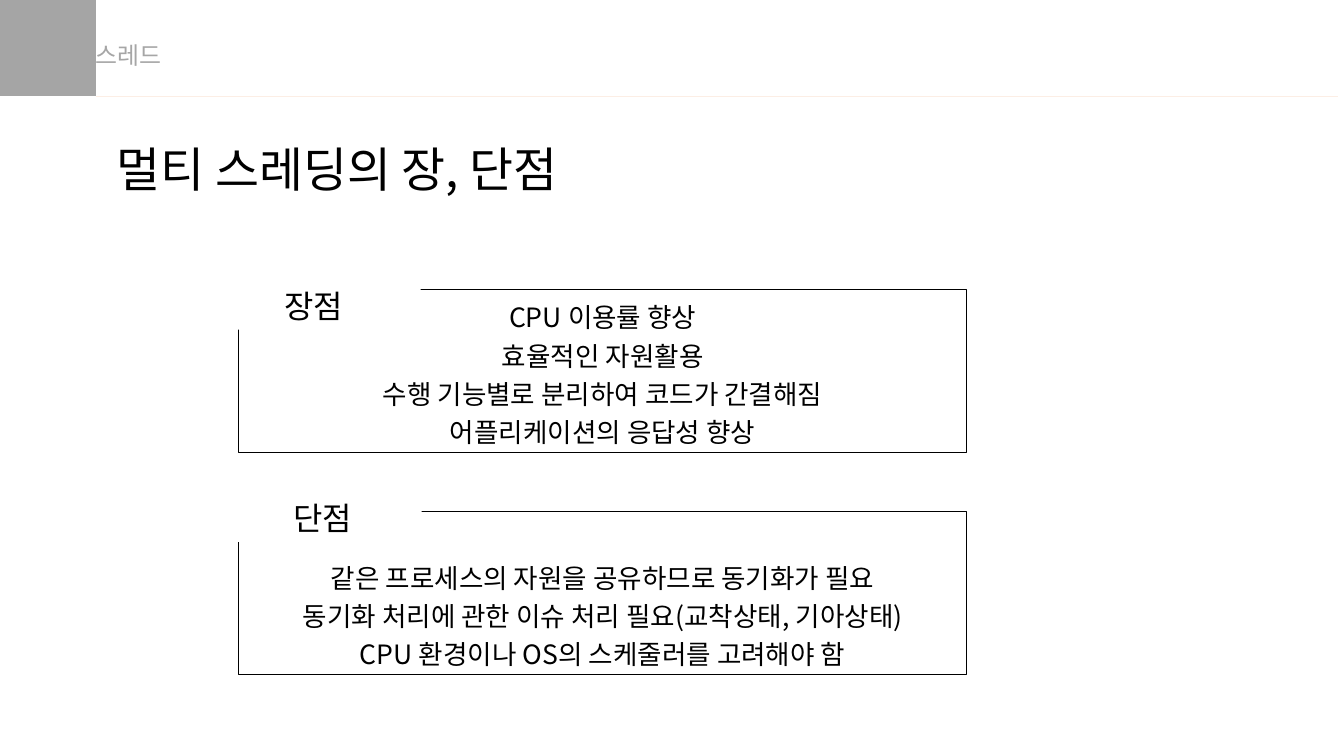
from lxml.etree import SubElement
from pptx import Presentation
from pptx.dml.color import RGBColor
from pptx.enum.shapes import MSO_SHAPE as Shape
from pptx.enum.text import MSO_ANCHOR as Anchor, MSO_AUTO_SIZE as AutoSize, PP_ALIGN as Align
from pptx.oxml.ns import qn
from pptx.util import Inches, Pt

COLORS = {"ink": "000000", "paper": "FFFFFF", "accent": "ED7D31", "tab": "A5A5A5", "muted": "A6A6A6"}
FONT = "Noto Sans CJK KR"


class SlideBuilder:
    """Holds the style and the current page, and adds each kind of element."""

    def __init__(self, page):
        self.page = page

    def color(self, name):
        return RGBColor.from_string(COLORS[name])

    def fill(self, shape, name):
        shape.fill.solid()
        shape.fill.fore_color.rgb = self.color(name)

    def add_lines(self, shape, lines, size, color="ink", align=Align.CENTER, anchor=Anchor.MIDDLE, spacing=1.2):
        frame = shape.text_frame
        frame.word_wrap = True
        frame.auto_size = AutoSize.NONE
        frame.vertical_anchor = anchor
        for index, line in enumerate(lines):
            para = frame.add_paragraph() if index else frame.paragraphs[0]
            para.alignment = align
            para.line_spacing = spacing
            para.space_before = Pt(0)
            span = para.add_run()
            span.text = line
            span.font.size = Pt(size)
            span.font.name = FONT
            span.font.color.rgb = self.color(color)
            SubElement(span.font._element, qn("a:ea"), typeface=FONT)

    def title(self, bounds, text, size):
        title = self.page.shapes.title
        title.left, title.top, title.width, title.height = map(Inches, bounds)
        self.fill(title, "paper")
        self.add_lines(title, [text], size, align=Align.LEFT)

    def header(self, bounds, text, size):
        box = self.page.shapes.add_textbox(*map(Inches, bounds))
        frame = box.text_frame
        frame.margin_left = frame.margin_right = frame.margin_top = frame.margin_bottom = 0
        self.add_lines(box, [text], size, "muted", Align.LEFT, Anchor.TOP, 1.0)

    def outline(self, points, color):
        start, *rest = points
        builder = self.page.shapes.build_freeform(*start, scale=Inches(1))
        builder.add_line_segments(rest, close=True)
        shape = builder.convert_to_shape()
        shape.shadow.inherit = False
        shape.line.fill.background()
        self.fill(shape, color)

    def rectangle(self, bounds):
        shape = self.page.shapes.add_shape(Shape.RECTANGLE, *map(Inches, bounds))
        shape.shadow.inherit = False
        return shape

    def panel(self, bounds, lines, anchor):
        panel = self.rectangle(bounds)
        panel.fill.background()
        panel.line.color.rgb = self.color("ink")
        panel.line.width = Pt(0)
        self.add_lines(panel, lines, 20, anchor=anchor)

    def label(self, bounds, text):
        label = self.rectangle(bounds)
        self.fill(label, "paper")
        label.line.fill.background()
        self.add_lines(label, [text], 24)


def main():
    deck = Presentation()
    deck.slide_width, deck.slide_height = Inches(14.06), Inches(7.91)
    slide = SlideBuilder(deck.slides.add_slide(deck.slide_layouts[5]))

    slide.outline([(1.12, 0.88), (13.7, 0.88), (13.7, 0.91), (1.14, 0.91)], "accent")
    slide.outline([(0.66, 0.35), (0.96, 0.91), (0.36, 0.91), (0.36, 0.35)], "tab")
    slide.header((1, 0.43, 3.18, 0.37), "스레드", 18)
    slide.title((1.12, 1.29, 9.49, 0.83), "멀티 스레딩의 장, 단점", 36)

    advantages = [
        "CPU 이용률 향상",
        "효율적인 자원활용",
        "수행 기능별로 분리하여 코드가 간결해짐",
        "어플리케이션의 응답성 향상",
    ]
    drawbacks = [
        "같은 프로세스의 자원을 공유하므로 동기화가 필요",
        "동기화 처리에 관한 이슈 처리 필요(교착상태, 기아상태)",
        "CPU 환경이나 OS의 스케줄러를 고려해야 함",
    ]
    sections = [
        ("장점", (2.16, 2.86, 2.24, 0.59), advantages, 3.03, Anchor.MIDDLE),
        ("단점", (2.34, 5.08, 2.07, 0.59), drawbacks, 5.35, Anchor.BOTTOM),
    ]
    for name, label_bounds, lines, top, anchor in sections:
        slide.panel((2.5, top, 7.61, 1.71), lines, anchor)
        slide.label(label_bounds, name)

    deck.save("out.pptx")


if __name__ == "__main__":
    main()
